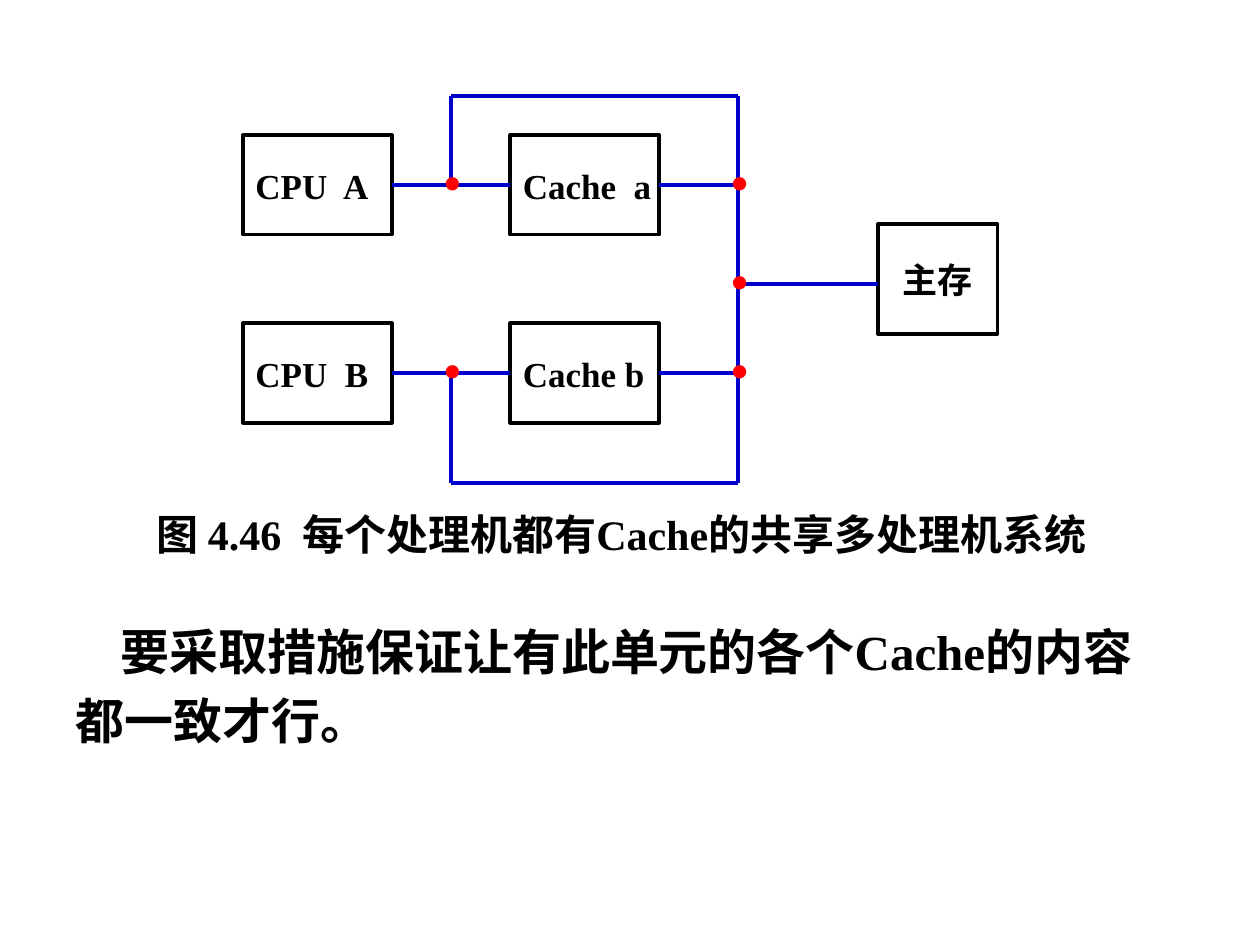
"""Build the slide on a shared-memory multiprocessor with one cache per CPU."""
from typing import NamedTuple

from lxml import etree
from pptx import Presentation
from pptx.dml.color import RGBColor
from pptx.enum import shapes, text
from pptx.oxml import ns
from pptx.util import Cm, Pt

BLACK, WHITE, BLUE, RED = "000000", "FFFFFF", "0000CC", "FF0000"
FONT = "Times New Roman"
STROKE = Pt(2.25)


class Unit(NamedTuple):
    label: str
    left: float
    top: float
    width: float = 3.0
    height: float = 2.0
    align: text.PP_ALIGN = text.PP_ALIGN.LEFT


class Wire(NamedTuple):
    x1: float
    y1: float
    x2: float
    y2: float


def paint(color_format, color: str) -> None:
    color_format.rgb = RGBColor.from_string(color)


def write(paragraph, content: str, *, size: float, color: str = BLACK,
          align=text.PP_ALIGN.LEFT) -> None:
    paragraph.text = content
    paragraph.alignment = align
    font = paragraph.font
    font.name, font.size, font.bold = FONT, Pt(size), True
    paint(font.color, color)


def draw_unit(slide, unit: Unit) -> None:
    box = slide.shapes.add_shape(
        shapes.MSO_SHAPE.RECTANGLE, Cm(unit.left), Cm(unit.top),
        Cm(unit.width), Cm(unit.height))
    box.shadow.inherit = False
    box.fill.solid()
    paint(box.fill.fore_color, WHITE)
    paint(box.line.color, BLACK)
    box.line.width = STROKE
    frame = box.text_frame
    frame.margin_right = 0 if unit.align == text.PP_ALIGN.LEFT else frame.margin_left
    frame.vertical_anchor = text.MSO_ANCHOR.MIDDLE
    write(frame.paragraphs[0], unit.label, size=20, align=unit.align)


def draw_wire(slide, wire: Wire) -> None:
    line = slide.shapes.add_connector(
        shapes.MSO_CONNECTOR.STRAIGHT, *(Cm(value) for value in wire))
    paint(line.line.color, BLUE)
    line.line.width = STROKE
    etree.SubElement(line._element.spPr, ns.qn("a:effectLst"))


def add_text(slide, content: str, left: float, top: float, width: float,
             height: float, *, wrap: bool = True, **style) -> None:
    box = slide.shapes.add_textbox(Cm(left), Cm(top), Cm(width), Cm(height))
    box.text_frame.word_wrap = wrap
    write(box.text_frame.paragraphs[0], content, **style)


def draw_junction(slide, x: float, y: float) -> None:
    width, height = 0.86, 1.44
    add_text(slide, "•", x + 0.04 - width / 2, y - 0.08 - height / 2,
             width, height, wrap=False, size=28, color=RED)


def fill_body(body, lines: list[str]) -> None:
    body.left, body.top, body.width, body.height = Cm(1.27), Cm(12.4), Cm(22.86), Cm(4.6)
    frame = body.text_frame
    frame.auto_size = text.MSO_AUTO_SIZE.NONE
    frame.vertical_anchor = text.MSO_ANCHOR.TOP
    for index, content in enumerate(lines):
        paragraph = frame.add_paragraph() if index else frame.paragraphs[0]
        properties = paragraph._p.get_or_add_pPr()
        properties.set("marL", "0")
        properties.set("indent", str(0 if index else Cm(0.91)))
        etree.SubElement(properties, ns.qn("a:buNone"))
        paragraph.space_before = Pt(5.6 if index else 0)
        write(paragraph, content, size=28)


def main() -> None:
    deck = Presentation()
    deck.slide_width, deck.slide_height = Cm(25.4), Cm(19.05)
    slide = deck.slides.add_slide(deck.slide_layouts[1])
    title = slide.shapes.title._element
    title.getparent().remove(title)
    fill_body(slide.placeholders[1],
              ["要采取措施保证让有此单元的各个Cache的内容", "都一致才行。"])

    cpu_left, cache_left, memory_left, box_width = 4.9, 10.29, 17.7, 3.0
    tap, bus = 9.09, 14.88
    row_a, row_b, bus_top, bus_bottom = 3.73, 7.52, 1.93, 9.73
    memory_row = 5.72

    for row, cpu, cache in ((row_a, "CPU  A", "Cache  a"),
                            (row_b, "CPU  B", "Cache b")):
        draw_unit(slide, Unit(cpu, cpu_left, row - 1))
        draw_unit(slide, Unit(cache, cache_left, row - 1))
    draw_unit(slide, Unit("主存", memory_left, 4.52, 2.41, 2.21, text.PP_ALIGN.CENTER))

    for row, end in ((row_a, bus_top), (row_b, bus_bottom)):
        draw_wire(slide, Wire(cpu_left + box_width, row, cache_left, row))
        draw_wire(slide, Wire(cache_left + box_width, row, bus, row))
        draw_wire(slide, Wire(tap, row, tap, end))
        draw_wire(slide, Wire(tap, end, bus, end))
    draw_wire(slide, Wire(bus, bus_top, bus, bus_bottom))
    draw_wire(slide, Wire(bus, memory_row, memory_left, memory_row))

    for x, y in ((tap, row_a), (tap, row_b), (bus, row_a),
                 (bus, row_b), (bus, memory_row)):
        draw_junction(slide, x, y)

    add_text(slide, "图 4.46  每个处理机都有Cache的共享多处理机系统",
             2.9, 10.13, 19.35, 1.27, size=24)
    deck.save("out.pptx")


if __name__ == "__main__":
    main()
